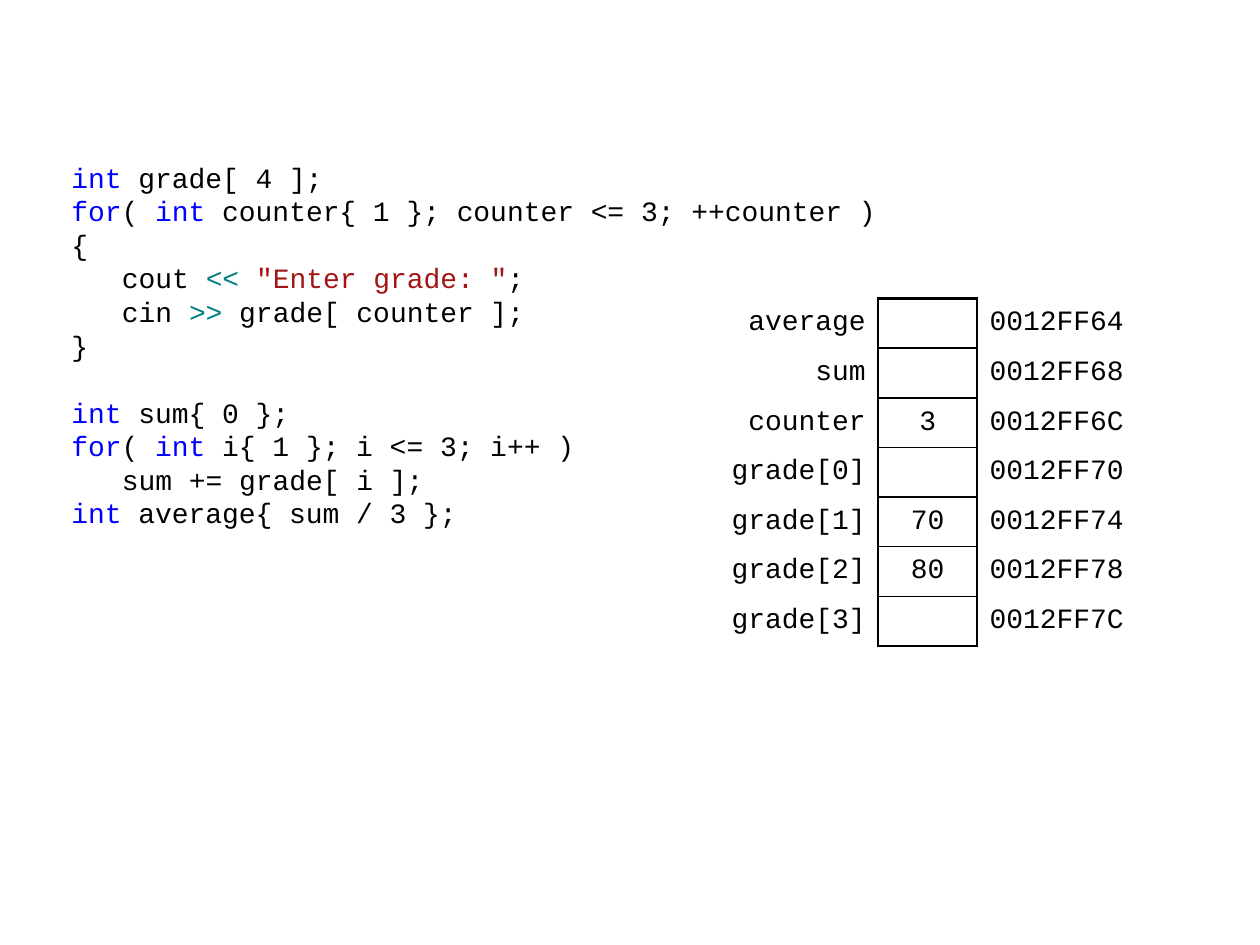
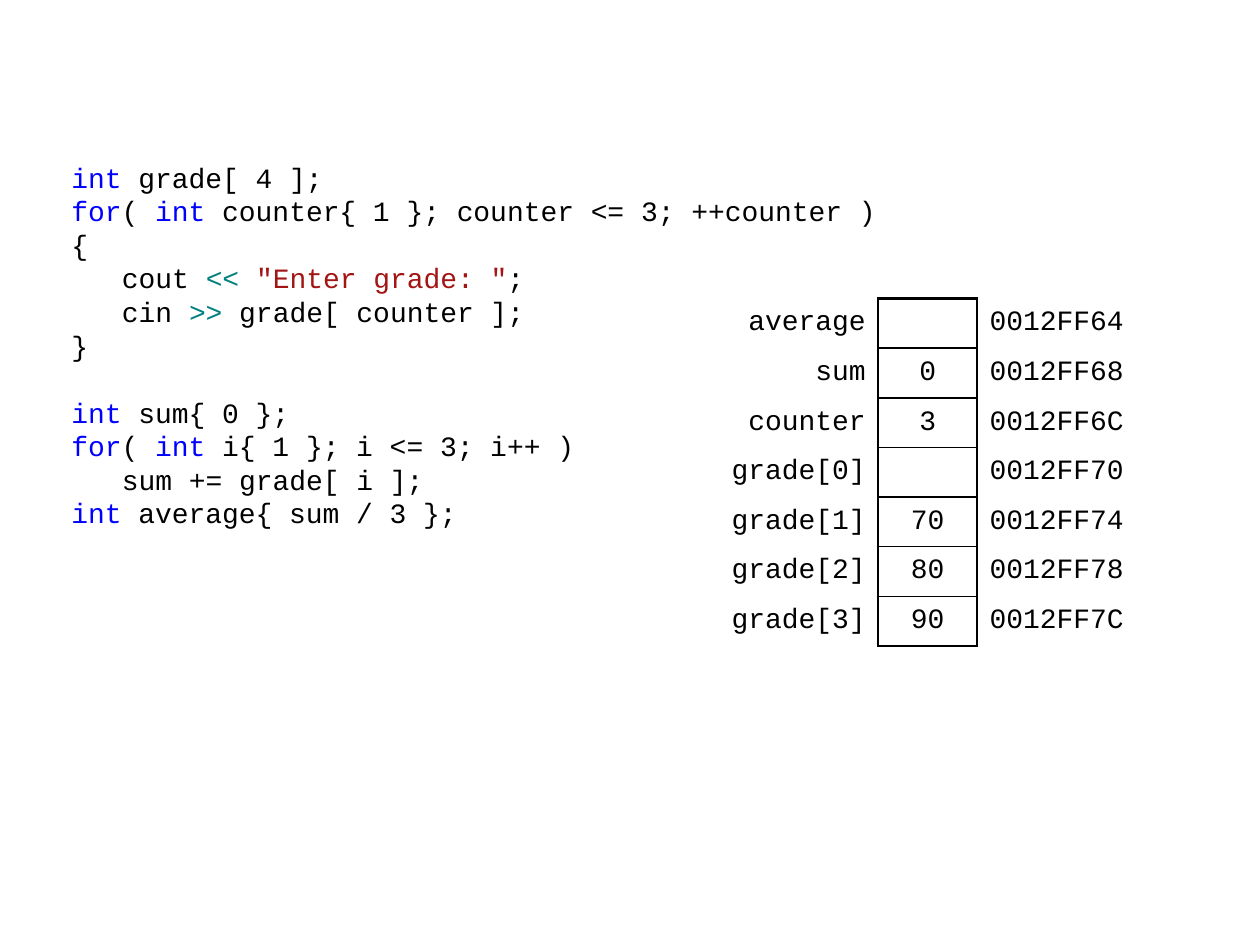
import lxml.etree
import pptx
import pptx.dml.color
import pptx.enum.text
import pptx.oxml.ns
import pptx.util

Cm = pptx.util.Cm
Pt = pptx.util.Pt
ALIGN = pptx.enum.text.PP_ALIGN

FONT = "Courier New"
FONT_SIZE = 16
LINE_PITCH = 19.2
CODE_INDENT = Cm(1.02)
BLACK = "000000"
TOKEN_COLOURS = {
    "int": "0000FF",
    "for": "0000FF",
    "<<": "008080",
    ">>": "008080",
    '"Enter grade: "': "A31515",
}

# (indent level, blank lines before, runs)
CODE = [
    (0, 0, ["int", " grade[ 4 ];"]),
    (0, 0, ["for", "( ", "int", " counter{ 1 }; counter <= 3; ++counter )"]),
    (0, 0, ["{"]),
    (1, 0, ["cout ", "<< ", '"Enter grade: "', ";"]),
    (1, 0, ["cin ", ">>", " grade[ counter ];"]),
    (0, 0, ["}"]),
    (0, 1, ["int", " sum{ 0 };"]),
    (0, 0, ["for", "( ", "int", " i{ 1 }; i <= 3; i++ )"]),
    (1, 0, ["sum += grade[ i ];"]),
    (0, 0, ["int", " average{ sum / 3 };"]),
]

VARIABLES = ["average", "sum", "counter", "grade[0]", "grade[1]", "grade[2]", "grade[3]"]
FIRST_ADDRESS = 0x0012FF64
INT_BYTES = 4
MEMORY_STATES = [
    {"counter": "3", "grade[1]": "70", "grade[2]": "80"},
    {"sum": "0", "counter": "3", "grade[1]": "70", "grade[2]": "80", "grade[3]": "90"},
]
COLUMN_WIDTHS = [3.5, 2, 3.5]
COLUMN_ALIGNMENTS = [ALIGN.RIGHT, ALIGN.CENTER, ALIGN.LEFT]
ROW_HEIGHT = 1
OUTER_LINE = 1.5
INNER_LINE = 1


def colour(hex_string):
    return pptx.dml.color.RGBColor.from_string(hex_string)


def format_run(run, hex_string=BLACK):
    run.font.name = FONT
    run.font.size = Pt(FONT_SIZE)
    run.font.color.rgb = colour(hex_string)


def add_code(slide):
    shape = slide.shapes.add_textbox(Cm(1.19), Cm(3.02), Cm(17), Cm(8))
    text_frame = shape.text_frame
    text_frame.word_wrap = True
    text_frame.margin_top = Cm(0.21)
    for number, (level, blank_lines, tokens) in enumerate(CODE):
        paragraph = text_frame.add_paragraph() if number else text_frame.paragraphs[0]
        paragraph.line_spacing = Pt(LINE_PITCH)
        paragraph.space_before = Pt(LINE_PITCH * blank_lines)
        properties = paragraph._p.get_or_add_pPr()
        properties.set("marL", str(level * CODE_INDENT))
        properties.set("indent", "0")
        for token in tokens:
            run = paragraph.add_run()
            run.text = token
            format_run(run, TOKEN_COLOURS.get(token.strip(), BLACK))


def set_borders(cell, left=0, right=0, top=0, bottom=0):
    qn = pptx.oxml.ns.qn
    properties = cell._tc.get_or_add_tcPr()
    sides = zip(("a:lnL", "a:lnR", "a:lnT", "a:lnB"), (left, right, top, bottom))
    for position, (tag, width) in enumerate(sides):
        line = lxml.etree.Element(qn(tag), w=str(Pt(width)))
        if width:
            fill = lxml.etree.SubElement(line, qn("a:solidFill"))
            lxml.etree.SubElement(fill, qn("a:srgbClr"), val=BLACK)
        else:
            lxml.etree.SubElement(line, qn("a:noFill"))
        properties.insert(position, line)


def fill_cell(cell, text, alignment):
    cell.fill.background()
    cell.vertical_anchor = pptx.enum.text.MSO_ANCHOR.MIDDLE
    cell.margin_left = cell.margin_right = Cm(0.25)
    cell.margin_top = cell.margin_bottom = Cm(0.1)
    if text:
        cell.text_frame.text = text
        paragraph = cell.text_frame.paragraphs[0]
        paragraph.alignment = alignment
        format_run(paragraph.runs[0])


def add_memory_table(slide, values):
    row_count = len(VARIABLES)
    frame = slide.shapes.add_table(
        row_count, len(COLUMN_WIDTHS), Cm(14.2), Cm(6.02),
        Cm(sum(COLUMN_WIDTHS)), Cm(ROW_HEIGHT * row_count))
    table = frame.table
    table.first_row = False
    table.horz_banding = False
    for column, width in zip(table.columns, COLUMN_WIDTHS):
        column.width = Cm(width)
    for number, variable in enumerate(VARIABLES):
        table.rows[number].height = Cm(ROW_HEIGHT)
        address = f"{FIRST_ADDRESS + INT_BYTES * number:08X}"
        texts = [variable, values.get(variable, ""), address]
        cells = list(table.rows[number].cells)
        for cell, text, alignment in zip(cells, texts, COLUMN_ALIGNMENTS):
            fill_cell(cell, text, alignment)
        name_cell, value_cell, address_cell = cells
        set_borders(name_cell, right=OUTER_LINE)
        set_borders(
            value_cell, left=OUTER_LINE, right=OUTER_LINE,
            top=INNER_LINE if number else OUTER_LINE,
            bottom=INNER_LINE if number < row_count - 1 else OUTER_LINE)
        set_borders(address_cell, left=OUTER_LINE)


def main():
    presentation = pptx.Presentation()
    presentation.slide_width = Cm(25.4)
    presentation.slide_height = Cm(19.05)
    for values in MEMORY_STATES:
        slide = presentation.slides.add_slide(presentation.slide_layouts[6])
        add_code(slide)
        add_memory_table(slide, values)
    presentation.save("out.pptx")


if __name__ == "__main__":
    main()
